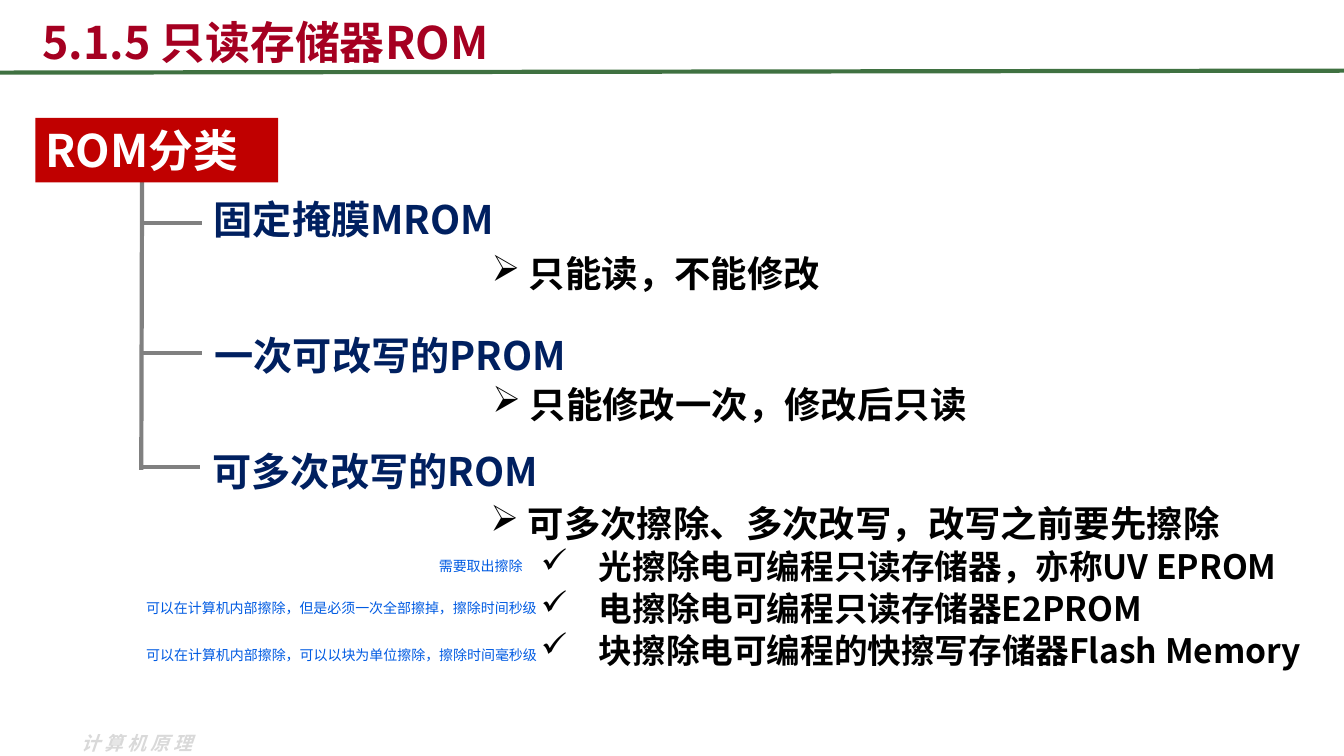
from dataclasses import dataclass

from lxml import etree
from pptx import Presentation
from pptx.dml.color import RGBColor
from pptx.enum.shapes import MSO_CONNECTOR, MSO_SHAPE
from pptx.enum.text import MSO_ANCHOR, MSO_AUTO_SIZE, PP_ALIGN
from pptx.oxml.ns import qn
from pptx.util import Cm, Pt


@dataclass(frozen=True)
class Theme:
    """Colours, font and type sizes of the slide."""
    font: str = "Noto Sans CJK SC"
    title: str = "A50021"
    rule: str = "3F7141"
    badge: str = "C00000"
    white: str = "FFFFFF"
    heading: str = "002060"
    body: str = "000000"
    note: str = "005BE2"
    branch: str = "808080"
    footer: str = "D9D9D9"
    title_size: float = 32
    heading_size: float = 28
    detail_size: float = 26
    item_size: float = 24
    note_size: float = 10
    footer_size: float = 13.5
    line_width: float = 3


T = Theme()


def style(p, size, color, bold=True):
    """Format every run of a paragraph."""
    p.space_before = Pt(round(size * 0.05, 1))
    for r in p.runs:
        f = r.font
        f.size, f.bold, f.name = Pt(size), bold, T.font
        f.color.rgb = RGBColor.from_string(color)
        ea = etree.SubElement(r._r.get_or_add_rPr(), qn("a:ea"))
        ea.set("typeface", T.font)


def bullet(p, char, margin=0, indent=0):
    """Give a paragraph a bullet character and a hanging indent."""
    pPr = p._p.get_or_add_pPr()
    pPr.set("marL", str(Cm(margin)))
    pPr.set("indent", str(Cm(indent)))
    etree.SubElement(pPr, qn("a:buChar")).set("char", char)


def add_text(s, box, text, size, color, bold=True):
    """Add a wrapping text box and return its text frame."""
    tf = s.shapes.add_textbox(*map(Cm, box)).text_frame
    tf.word_wrap = True
    tf.auto_size = MSO_AUTO_SIZE.SHAPE_TO_FIT_TEXT
    tf.text = text
    for p in tf.paragraphs:
        style(p, size, color, bold)
    return tf


def add_line(s, x1, y1, x2, y2, color):
    """Draw a straight line without shadow."""
    ln = s.shapes.add_connector(MSO_CONNECTOR.STRAIGHT, *map(Cm, (x1, y1, x2, y2)))
    ln.line.color.rgb = RGBColor.from_string(color)
    ln.line.width = Pt(T.line_width)
    etree.SubElement(ln._element.spPr, qn("a:effectLst"))


def header(s, box, text):
    """Place the slide title above a full-width rule."""
    x, y, w, h = box
    tf = add_text(s, (x + 0.81, y + 0.1, w - 3.38, h - 0.08), text, T.title_size, T.title)
    tf.vertical_anchor = MSO_ANCHOR.BOTTOM
    add_line(s, x, y + h, x + w, y + h - 0.05, T.rule)


def footer(s, box, text):
    """Place the pale course name."""
    tf = add_text(s, box, text, T.footer_size, T.footer)
    r = tf.paragraphs[0].runs[0]
    r.font.italic = True
    r._r.get_or_add_rPr().set("spc", "300")


def root(s, box, text, trunk_end):
    """Place the red root label and the trunk below it."""
    x, y, w, h = box
    add_line(s, x + 2.69, y + 1.48, x + 2.67, trunk_end, T.branch)
    sp = s.shapes.add_shape(MSO_SHAPE.RECTANGLE, *map(Cm, box))
    sp.shadow.inherit = False
    sp.fill.solid()
    sp.fill.fore_color.rgb = RGBColor.from_string(T.badge)
    sp.line.fill.background()
    tf = sp.text_frame
    tf.vertical_anchor = MSO_ANCHOR.TOP
    tf.text = text
    p = tf.paragraphs[0]
    p.alignment = PP_ALIGN.LEFT
    style(p, T.title_size, T.white)


def rom_type(s, box, heading, heading_dy, detail, detail_dy, items=()):
    """Place one branch with its heading, detail and sub-items."""
    x, y, w, h = box
    add_line(s, x, y, x + 1.52, y, T.branch)
    add_text(s, (x + 1.58, y + heading_dy, 11.9, 1.45), heading, T.heading_size, T.heading)
    tf = add_text(s, (x + 8.58, y + detail_dy, w - 8.58, h), detail, T.detail_size, T.body)
    bullet(tf.paragraphs[0], "➢")
    for item in items:
        p = tf.add_paragraph()
        p.text = item
        style(p, T.item_size, T.body)
        bullet(p, "✓", 2.54, -1.27)


def note(s, box, text):
    """Place a small centred remark."""
    tf = add_text(s, box, text, T.note_size, T.note, bold=False)
    tf.margin_left = tf.margin_right = tf.margin_top = tf.margin_bottom = 0
    tf.word_wrap = False
    tf.vertical_anchor = MSO_ANCHOR.MIDDLE
    p = tf.paragraphs[0]
    p.alignment = PP_ALIGN.CENTER
    p.line_spacing = 1.6


ROM_TYPES = [
    ((3.56, 5.61, 30.2, 1.37), "固定掩膜MROM", -0.81, " 只能读，不能修改", 0.59),
    ((3.58, 8.89, 30.2, 1.37), "一次可改写的PROM", -0.66, " 只能修改一次，修改后只读", 0.61),
    ((3.53, 11.76, 30.2, 4.6), "可多次改写的ROM", -0.61,
     " 可多次擦除、多次改写，改写之前要先擦除", 0.74,
     (" 光擦除电可编程只读存储器，亦称UV EPROM",
      " 电擦除电可编程只读存储器E2PROM",
      " 块擦除电可编程的快擦写存储器Flash Memory")),
]
NOTES = [
    ((11.05, 13.82, 2.13, 0.61), "需要取出擦除"),
    ((3.61, 14.88, 9.98, 0.61), "可以在计算机内部擦除，但是必须一次全部擦掉，擦除时间秒级"),
    ((3.51, 16.08, 10.19, 0.61), "可以在计算机内部擦除，可以以块为单位擦除，擦除时间毫秒级"),
]


def main():
    """Build the slide and save it."""
    prs = Presentation()
    prs.slide_width, prs.slide_height = Cm(33.87), Cm(19.05)
    s = prs.slides.add_slide(prs.slide_layouts[6])
    footer(s, (1.8, 18.31, 3.71, 0.86), "计算机原理")
    header(s, (0, 0, 33.87, 1.83), "5.1.5 只读存储器ROM")
    root(s, (0.89, 2.97, 6.12, 1.63), "ROM分类", 11.84)
    for rom in ROM_TYPES:
        rom_type(s, *rom)
    for box, text in NOTES:
        note(s, box, text)
    prs.save("out.pptx")


if __name__ == "__main__":
    main()
